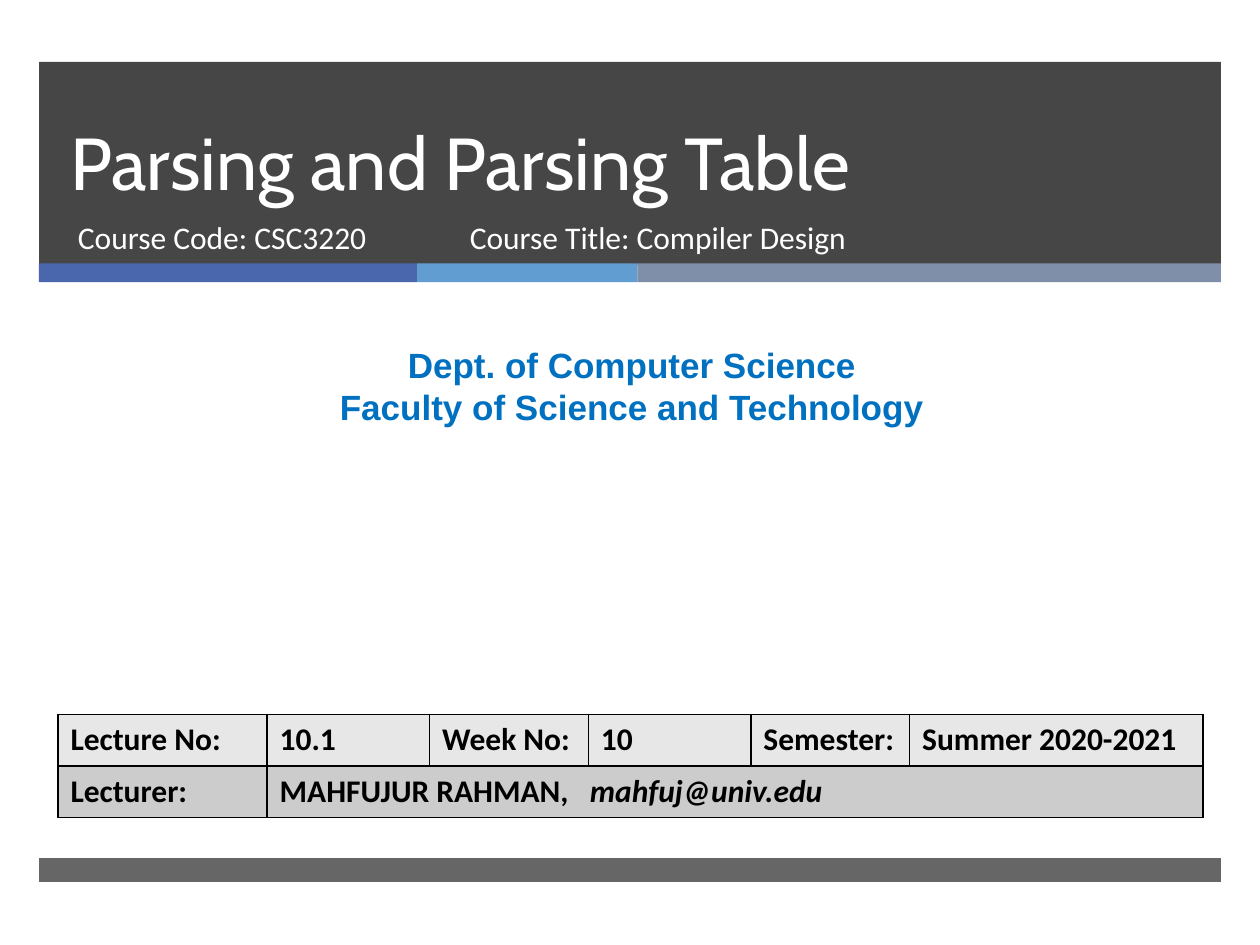
from dataclasses import dataclass
from itertools import accumulate

from lxml.etree import SubElement
from pptx import Presentation
from pptx.dml.color import RGBColor
from pptx.enum.shapes import MSO_SHAPE as Preset
from pptx.enum.text import MSO_ANCHOR as Anchor, MSO_AUTO_SIZE as AutoSize, PP_ALIGN as Align
from pptx.oxml.ns import qn
from pptx.util import Inches, Pt


@dataclass(frozen=True)
class Theme:
    dark: str = "262626"
    white: str = "FFFFFF"
    black: str = "000000"
    heading: str = "0070C0"
    accents: tuple = ("4A66AC", "629DD1", "7F8FA9")
    bands: tuple = ("E7E7E7", "CCCCCC")
    title_size: int = 42
    title_leading: int = 46
    heading_size: int = 20
    body_size: int = 18
    border: int = 1
    wide_space: int = 800
    title_font: str = "Cabin"
    heading_font: str = "Arial"
    body_font: str = "Calibri"


THEME = Theme()
WIDTH, HEIGHT = 10, 7.5
MARGIN = 0.31
BAND_WIDTH = WIDTH - 2 * MARGIN
BANNER_TOP, BANNER_HEIGHT = 0.49, 1.61
STRIPE_TOP, STRIPE_HEIGHT = 2.09, 0.15
FOOTER_TOP, FOOTER_HEIGHT = 6.81, 0.19
COURSE_TOP, COURSE_HEIGHT = 1.68, 0.53
TABLE_LEFT, TABLE_TOP, ROW_HEIGHT = 0.46, 5.67, 0.41

TITLE = "Parsing and Parsing Table"
COURSE = [
    ("Course Code: CSC3220", 0.52, 3.05),
    ("Course Title: Compiler Design", 3.63, 4.55),
]
DEPARTMENT = ["Dept. of Computer Science", "Faculty of Science and Technology"]
LECTURE = ["Lecture No:", "10.1", "Week No:", "10", "Semester:", "Summer 2020-2021"]
LECTURER_LABEL, LECTURER, EMAIL = "Lecturer:", "MAHFUJUR RAHMAN,", "mahfuj@univ.edu"
STRIPE_WIDTHS = [3, 1.75, 4.63]
COLUMN_WIDTHS = [1.66, 1.29, 1.26, 1.29, 1.26, 2.33]


def place(*lengths):
    return [Inches(length) for length in lengths]


def add_run(paragraph, text, size, font, color, bold=False, italic=False):
    run = paragraph.add_run()
    run.text = text
    run.font.size = Pt(size)
    run.font.name = font
    run.font.bold = bold
    run.font.italic = italic
    run.font.color.rgb = RGBColor.from_string(color)
    return run


def add_bar(slide, box, color, opacity=100):
    bar = slide.shapes.add_shape(Preset.RECTANGLE, *place(*box))
    bar.shadow.inherit = False
    bar.line.fill.background()
    bar.fill.solid()
    bar.fill.fore_color.rgb = RGBColor.from_string(color)
    if opacity < 100:
        tint = bar._element.spPr.find(qn("a:solidFill"))[0]
        SubElement(tint, qn("a:alpha"), val=str(opacity * 1000))


def add_text(slide, box, lines, size, font, color, align=Align.LEFT, bold=False):
    frame = slide.shapes.add_textbox(*place(*box)).text_frame
    frame.word_wrap = True
    for index, line in enumerate(lines):
        paragraph = frame.add_paragraph() if index else frame.paragraphs[0]
        paragraph.alignment = align
        add_run(paragraph, line, size, font, color, bold)


def add_bands(slide):
    add_bar(slide, (MARGIN, BANNER_TOP, BAND_WIDTH, BANNER_HEIGHT), THEME.dark, 85)
    lefts = accumulate(STRIPE_WIDTHS, initial=MARGIN)
    for left, width, color in zip(lefts, STRIPE_WIDTHS, THEME.accents):
        add_bar(slide, (left, STRIPE_TOP, width, STRIPE_HEIGHT), color)
    add_bar(slide, (MARGIN, FOOTER_TOP, BAND_WIDTH, FOOTER_HEIGHT), THEME.dark, 70)


def format_title(slide):
    title = slide.shapes.title
    slide.shapes._spTree.append(title._element)
    title.left, title.top, title.width, title.height = place(0.46, BANNER_TOP, 8.54, 1.19)
    frame = title.text_frame
    frame.word_wrap = True
    frame.auto_size = AutoSize.NONE
    frame.vertical_anchor = Anchor.BOTTOM
    paragraph = frame.paragraphs[0]
    paragraph.alignment = Align.LEFT
    paragraph.line_spacing = Pt(THEME.title_leading)
    add_run(paragraph, TITLE, THEME.title_size, THEME.title_font, THEME.white)


def format_cell(cell, color):
    properties = cell._tc.get_or_add_tcPr()
    for side in ("lnL", "lnR", "lnT", "lnB"):
        line = SubElement(properties, qn(f"a:{side}"), w=str(Pt(THEME.border)))
        fill = SubElement(line, qn("a:solidFill"))
        SubElement(fill, qn("a:srgbClr"), val=THEME.black)
    cell.fill.solid()
    cell.fill.fore_color.rgb = RGBColor.from_string(color)


def write_cell(cell, text, italic=False):
    return add_run(cell.text_frame.paragraphs[0], text, THEME.body_size,
                   THEME.body_font, THEME.black, True, italic)


def add_lecture_table(slide):
    rows, columns = len(THEME.bands), len(COLUMN_WIDTHS)
    box = place(TABLE_LEFT, TABLE_TOP, sum(COLUMN_WIDTHS), rows * ROW_HEIGHT)
    table = slide.shapes.add_table(rows, columns, *box).table
    for column, width in zip(table.columns, COLUMN_WIDTHS):
        column.width = Inches(width)
    for row, color in zip(table.rows, THEME.bands):
        row.height = Inches(ROW_HEIGHT)
        for cell in row.cells:
            format_cell(cell, color)
    for index, text in enumerate(LECTURE):
        write_cell(table.cell(0, index), text)
    write_cell(table.cell(1, 0), LECTURER_LABEL)
    lecturer = table.cell(1, 1)
    lecturer.merge(table.cell(1, columns - 1))
    write_cell(lecturer, LECTURER)
    gap = write_cell(lecturer, " ")
    gap.font._element.set("spc", str(THEME.wide_space))
    write_cell(lecturer, EMAIL, italic=True)


def main():
    presentation = Presentation()
    presentation.slide_width, presentation.slide_height = place(WIDTH, HEIGHT)
    slide = presentation.slides.add_slide(presentation.slide_layouts.get_by_name("Title Only"))
    add_bands(slide)
    format_title(slide)
    for text, left, width in COURSE:
        add_text(slide, (left, COURSE_TOP, width, COURSE_HEIGHT), [text],
                 THEME.body_size, THEME.body_font, THEME.white)
    add_text(slide, (0.08, 2.68, 9.87, 0.77), DEPARTMENT, THEME.heading_size,
             THEME.heading_font, THEME.heading, Align.CENTER, True)
    add_lecture_table(slide)
    presentation.save("out.pptx")


if __name__ == "__main__":
    main()
